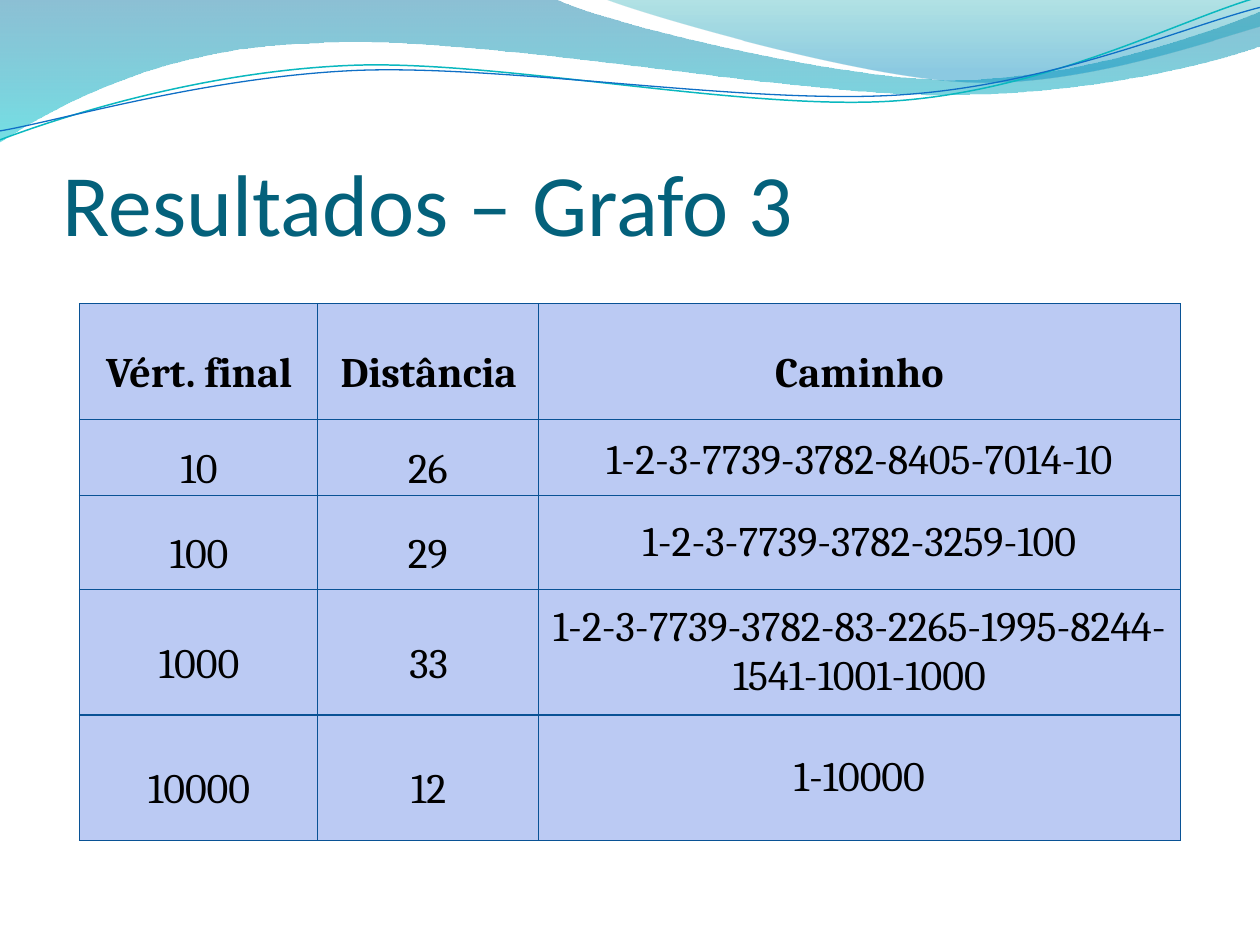
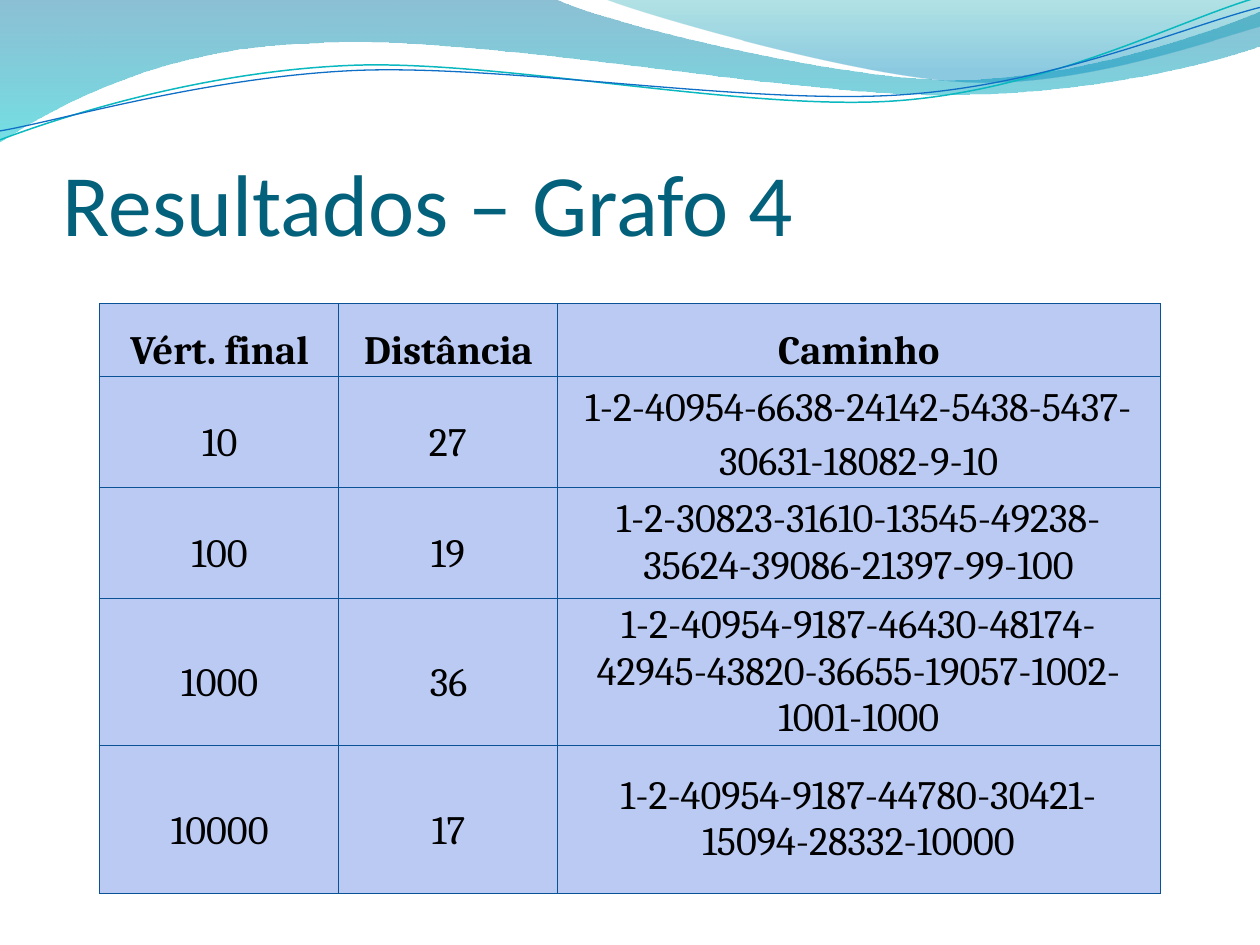
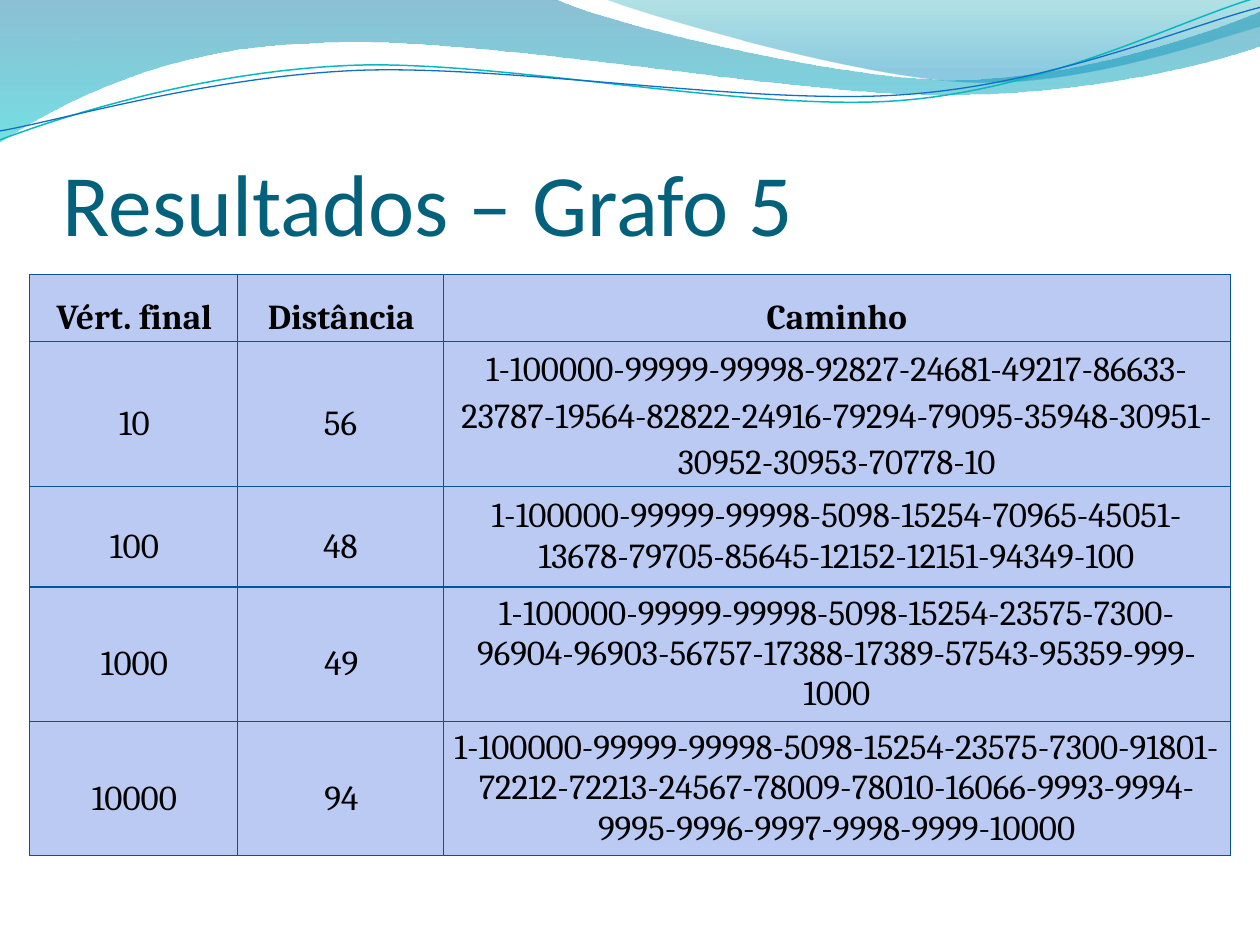
from math import cos, radians, sin
from pptx import Presentation
from pptx.dml.color import RGBColor
from pptx.enum.text import MSO_ANCHOR, PP_ALIGN
from pptx.oxml.ns import qn
from pptx.util import Cm, Pt
from lxml.etree import SubElement

WIDTH, HEIGHT = 25.4, 19.05
INK, TITLE, CELL, RULE = "000000", "04617B", "BBCAF3", "095295"
TEAL, BLUE = "0AB8BF", "0F6FC6"
TILT = 2.7
HEAD = ("Vért. final", "Distância", "Caminho")
ENDS = ("10", "100", "1000", "10000")

BAND = [
    [(0, 0)], [(11.18, -0.03)],
    [(12.09, 0.43), (16.87, 1.6), (19.25, 1.6)],
    [(21.67, 1.6), (24.33, 0.66), (25.4, 0.23)],
    [(25.43, 0.91)],
    [(24.97, 1.12), (22.1, 1.93), (18.95, 1.91)],
    [(15.8, 1.91), (9.7, 0.71), (6.53, 0.86)],
    [(3.28, 0.91), (1.17, 2.11), (-0.03, 2.87)],
    [(0, 0)],
]
CREST = [
    [(12.17, -0.03)],
    [(12.93, 0.28), (17.32, 1.57), (19.53, 1.65)],
    [(21.74, 1.75), (24.41, 0.81), (25.4, 0.53)],
    [(25.4, 0)], [(12.17, -0.03)],
]
UPPER = [
    [(0, 2.82)],
    [(1.22, 2.36), (4.01, 1.45), (7.04, 1.32)],
    [(10.03, 1.19), (15.06, 2.26), (18.11, 2.03)],
    [(21.16, 1.8), (23.83, 0.38), (25.35, -0.05)],
]
LOWER = [
    [(0, 2.64)],
    [(1.19, 2.44), (4.17, 1.55), (7.19, 1.42)],
    [(10.24, 1.3), (15.16, 2.13), (18.21, 1.91)],
    [(21.23, 1.7), (23.9, 0.53), (25.4, 0.15)],
]

GRAPHS = [
    dict(name="Resultados – Grafo 3", size=24, pad=0.15, top=6.12, tall=10.82,
         cols=(4.8, 4.45, 12.95), rows=(2.34, 1.52, 1.9, 2.53, 2.53),
         dists=("26", "29", "33", "12"),
         paths=("1-2-3-7739-3782-8405-7014-10",
                "1-2-3-7739-3782-3259-100",
                "1-2-3-7739-3782-83-2265-1995-8244-1541-1001-1000",
                "1-10000")),
    dict(name="Resultados – Grafo 4", size=23, pad=0.2, top=6.12, tall=11.84,
         cols=(4.82, 4.41, 12.16), rows=(1.47, 1.93, 2.24, 2.97, 2.97),
         dists=("27", "19", "36", "17"),
         paths=("1-2-40954-6638-24142-5438-5437-30631-18082-9-10",
                "1-2-30823-31610-13545-49238-35624-39086-21397-99-100",
                "1-2-40954-9187-46430-48174-42945-43820-36655-19057-1002-"
                "1001-1000",
                "1-2-40954-9187-44780-30421-15094-28332-10000")),
    dict(name="Resultados – Grafo 5", size=20, pad=0.18, top=5.54, tall=11.71,
         cols=(4.2, 4.14, 15.87), rows=(1.34, 1.34, 2.03, 2.71, 2.71),
         dists=("56", "48", "49", "94"),
         paths=("1-100000-99999-99998-92827-24681-49217-86633-23787-19564-"
                "82822-24916-79294-79095-35948-30951-30952-30953-70778-10",
                "1-100000-99999-99998-5098-15254-70965-45051-13678-79705-"
                "85645-12152-12151-94349-100",
                "1-100000-99999-99998-5098-15254-23575-7300-96904-96903-"
                "56757-17388-17389-57543-95359-999-1000",
                "1-100000-99999-99998-5098-15254-23575-7300-91801-72212-"
                "72213-24567-78009-78010-16066-9993-9994-9995-9996-9997-"
                "9998-9999-10000")),
]


def color(code):
    return RGBColor.from_string(code)


def turn(x, y, angle):
    a = radians(angle)
    return x * cos(a) - y * sin(a), x * sin(a) + y * cos(a)


def bend(shape, legs):
    lines = iter(list(shape._element.iter(qn("a:lnTo"))))
    for leg in legs[1:]:
        first, *rest = [next(lines) for _ in leg]
        if rest:
            curve = first.makeelement(qn("a:cubicBezTo"))
            first.addprevious(curve)
            for line in (first, *rest):
                curve.append(line[0])
                line.getparent().remove(line)


def outline(slide, legs, close):
    first, *rest = [(Cm(x), Cm(y)) for leg in legs for x, y in leg]
    pen = slide.shapes.build_freeform(*first)
    pen.add_line_segments(rest, close=close)
    shape = pen.convert_to_shape()
    shape.shadow.inherit = False
    bend(shape, legs)
    return shape


def wave(slide, legs, stops):
    shape = outline(slide, legs, True)
    shape.line.fill.background()
    shape.fill.gradient()
    shape.fill.gradient_angle = 270
    for stop, (place, code, _) in zip(shape.fill.gradient_stops, stops):
        stop.position = place
        stop.color.rgb = color(code)
    grad = shape._element.spPr.find(qn("a:gradFill"))
    for tint, (_, _, alpha) in zip(grad.iter(qn("a:srgbClr")), stops):
        SubElement(tint, qn("a:alpha"), val=str(alpha * 1000))


def strand(slide, legs, code, width):
    flat = [[turn(x, y, TILT) for x, y in leg] for leg in legs]
    shape = outline(slide, flat, False)
    half, drop = shape.width / 2, shape.height / 2
    x, y = turn(shape.left + half, shape.top + drop, -TILT)
    shape.left, shape.top = int(x - half), int(y - drop)
    shape.rotation = 360 - TILT
    shape.fill.background()
    shape.line.color.rgb = color(code)
    shape.line.width = Pt(width)


def header(slide):
    wave(slide, BAND, [(0, "0074A1", 45), (1, "00C6CF", 55)])
    wave(slide, CREST, [(0, "00A1A9", 30), (0.8, "008BBF", 45)])
    strand(slide, UPPER, TEAL, 0.85)
    strand(slide, LOWER, BLUE, 0.75)


def style(para, face, size, code, bold=False):
    for run in para.runs:
        font = run.font
        font.name, font.size, font.bold = face, Pt(size), bold
        font.color.rgb = color(code)


def title(slide, text):
    box = slide.shapes.add_textbox(Cm(1.27), Cm(1.95), Cm(22.86), Cm(3.17))
    frame = box.text_frame
    frame.word_wrap = True
    frame.vertical_anchor = MSO_ANCHOR.BOTTOM
    frame.margin_left = frame.margin_right = frame.margin_bottom = 0
    frame.margin_top = Cm(0.13)
    frame.text = text
    style(frame.paragraphs[0], "Calibri", 50, TITLE)


def border(cell):
    props = cell._tc.get_or_add_tcPr()
    for side in ("lnL", "lnR", "lnT", "lnB"):
        line = SubElement(props, qn("a:" + side), w=str(Pt(0.75)))
        fill = SubElement(line, qn("a:solidFill"))
        SubElement(fill, qn("a:srgbClr"), val=RULE)


def write(cell, text, size, pad, bold, space, gap, dent):
    border(cell)
    cell.fill.solid()
    cell.fill.fore_color.rgb = color(CELL)
    cell.vertical_anchor = MSO_ANCHOR.MIDDLE
    cell.margin_left = cell.margin_right = Cm(pad)
    cell.margin_top = cell.margin_bottom = 0
    cell.text_frame.text = text
    para = cell.text_frame.paragraphs[0]
    para.alignment = PP_ALIGN.CENTER
    para.line_spacing = space
    para.space_before = para.space_after = Pt(gap)
    para._p.get_or_add_pPr().set("marL", str(Cm(dent)))
    style(para, "Cambria", size, INK, bold)


def spacing(row, col):
    dent = 0.03 if col == 0 or col == 1 and row in (0, 3, 4) else 0
    if row == 0 or col < 2:
        return 1.5, 12, dent
    return (1.15 if row == 1 else 1.0), 0, dent


def grid(slide, graph):
    cols, rows = graph["cols"], graph["rows"]
    wide, tall = sum(cols), Cm(graph["tall"])
    frame = slide.shapes.add_table(
        len(rows), len(cols), Cm((WIDTH - wide) / 2), Cm(graph["top"]),
        Cm(wide), tall)
    table = frame.table
    table.first_row = table.horz_banding = False
    for col, size in zip(table.columns, cols):
        col.width = Cm(size)
    for row, size in zip(table.rows, rows):
        row.height = Cm(size)
    frame.height = tall
    lines = [HEAD, *zip(ENDS, graph["dists"], graph["paths"])]
    for r, line in enumerate(lines):
        for c, text in enumerate(line):
            write(table.cell(r, c), text, graph["size"], graph["pad"],
                  r == 0, *spacing(r, c))


def main():
    deck = Presentation()
    deck.slide_width, deck.slide_height = Cm(WIDTH), Cm(HEIGHT)
    for graph in GRAPHS:
        slide = deck.slides.add_slide(deck.slide_layouts[6])
        header(slide)
        title(slide, graph["name"])
        grid(slide, graph)
    deck.save("out.pptx")


main()
